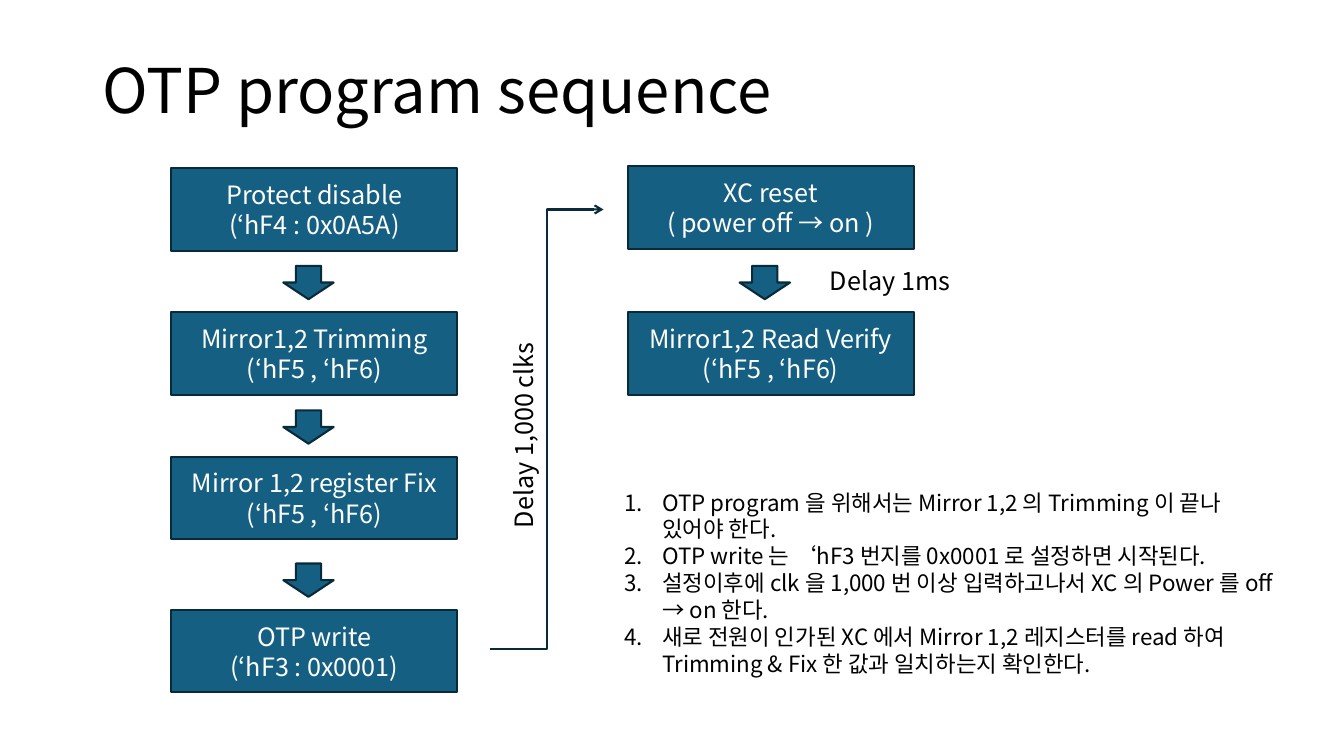
from lxml import etree
from pptx import Presentation
from pptx.dml.color import RGBColor
from pptx.enum.shapes import MSO_CONNECTOR as CONN, MSO_SHAPE as SHAPE
from pptx.enum.text import MSO_ANCHOR as ANCHOR, PP_ALIGN as ALIGN
from pptx.oxml.ns import qn
from pptx.util import Cm, Pt

FONT = "Noto Sans CJK KR"
TEAL = RGBColor(0x15, 0x60, 0x82)
NAVY = RGBColor(0x09, 0x2A, 0x39)
WHITE = RGBColor(0xFF, 0xFF, 0xFF)
BLACK = RGBColor(0, 0, 0)

BOX_W, BOX_H = 7.21, 2.08
ARROW_W, ARROW_H = 1.27, 0.84
ARROW_DX, ARROW_RISE = 2.82, 1.17  # from the left and top of the next box

PROGRAM_STEPS = [
    (4.24, "Protect disable", "(‘hF4 : 0x0A5A)"),
    (7.87, "Mirror1,2 Trimming", "(‘hF5 , ‘hF6)"),
    (11.51, "Mirror 1,2 register Fix", "(‘hF5 , ‘hF6)"),
    (15.37, "OTP write", "(‘hF3 : 0x0001)"),
]
VERIFY_STEPS = [
    (4.19, "XC reset", "( power off → on )"),
    (7.87, "Mirror1,2 Read Verify", "(‘hF5 , ‘hF6)"),
]
NOTES = [
    "OTP program 을 위해서는 Mirror 1,2 의 Trimming 이 끝나 있어야 한다.",
    "OTP write 는 ‘hF3 번지를 0x0001 로 설정하면 시작된다.",
    "설정이후에 clk 을 1,000 번 이상 입력하고나서 XC 의 Power 를 off → on 한다.",
    "새로 전원이 인가된 XC 에서 Mirror 1,2 레지스터를 read 하여 "
    "Trimming & Fix 한 값과 일치하는지 확인한다.",
]


def add_run(p, text, size, color):
    r = p.add_run()
    r.text = text
    r.font.size = Pt(size)
    r.font.name = FONT
    r.font.color.rgb = color
    etree.SubElement(r.font._element, qn("a:ea"), typeface=FONT)


def write_lines(tf, lines, size, color, align):
    for i, line in enumerate(lines):
        p = tf.paragraphs[0] if i == 0 else tf.add_paragraph()
        p.alignment = align
        add_run(p, line, size, color)


def add_block(s, kind, left, top, width, height):
    sp = s.shapes.add_shape(kind, Cm(left), Cm(top), Cm(width), Cm(height))
    sp.shadow.inherit = False
    sp.fill.solid()
    sp.fill.fore_color.rgb = TEAL
    sp.line.color.rgb = NAVY
    sp.line.width = Pt(1.5)
    return sp


def add_column(s, left, steps):
    """Stack the step boxes, with a down arrow above each one but the first."""
    for i, (top, *lines) in enumerate(steps):
        if i:
            add_block(s, SHAPE.DOWN_ARROW, left + ARROW_DX, top - ARROW_RISE,
                      ARROW_W, ARROW_H)
        tf = add_block(s, SHAPE.RECTANGLE, left, top, BOX_W, BOX_H).text_frame
        tf.vertical_anchor = ANCHOR.MIDDLE
        write_lines(tf, lines, 18, WHITE, ALIGN.CENTER)


def add_elbow_arrow(s, x1, y1, x2, y2):
    c = s.shapes.add_connector(CONN.ELBOW, Cm(x1), Cm(y1), Cm(x2), Cm(y2))
    c.line.color.rgb = NAVY
    c.line.width = Pt(1.5)
    etree.SubElement(c.line._get_or_add_ln(), qn("a:tailEnd"), type="arrow")
    etree.SubElement(c._element.spPr, qn("a:effectLst"))


def add_label(s, text, center_x, center_y, width, rotation=0):
    height = 1.02
    sp = s.shapes.add_textbox(Cm(center_x - width / 2), Cm(center_y - height / 2),
                              Cm(width), Cm(height))
    sp.rotation = rotation
    tf = sp.text_frame
    tf.word_wrap = False
    tf.vertical_anchor = ANCHOR.MIDDLE
    write_lines(tf, [text], 18, BLACK, ALIGN.CENTER)


def add_numbered_list(s, items, left, top, width, height):
    tf = s.shapes.add_textbox(Cm(left), Cm(top), Cm(width), Cm(height)).text_frame
    tf.word_wrap = True
    write_lines(tf, items, 16, BLACK, ALIGN.LEFT)
    for p in tf.paragraphs:
        pPr = p._p.get_or_add_pPr()
        pPr.set("marL", str(Cm(0.95)))
        pPr.set("indent", str(-Cm(0.95)))
        etree.SubElement(pPr, qn("a:buFont"), typeface="+mj-lt")
        etree.SubElement(pPr, qn("a:buAutoNum"), type="arabicPeriod")


def set_title(s, text):
    sp = s.shapes.title
    sp.left, sp.top, sp.width, sp.height = Cm(2.33), Cm(0.51), Cm(29.21), Cm(3.68)
    tf = sp.text_frame
    tf.vertical_anchor = ANCHOR.MIDDLE
    write_lines(tf, [text], 44, BLACK, ALIGN.LEFT)
    tf.paragraphs[0].line_spacing = 0.9


def main():
    prs = Presentation()
    prs.slide_width, prs.slide_height = Cm(33.87), Cm(19.05)
    s = prs.slides.add_slide(prs.slide_layouts[5])
    set_title(s, "OTP program sequence")
    add_column(s, 4.32, PROGRAM_STEPS)
    add_column(s, 15.82, VERIFY_STEPS)
    add_elbow_arrow(s, 12.34, 16.36, 15.21, 5.28)
    add_label(s, "Delay 1,000 clks", 13.2, 10.97, 5.18, rotation=270)
    add_label(s, "Delay 1ms", 22.43, 7.06, 3.56)
    add_numbered_list(s, NOTES, 15.49, 12.19, 17.04, 5.74)
    prs.save("out.pptx")


if __name__ == "__main__":
    main()
